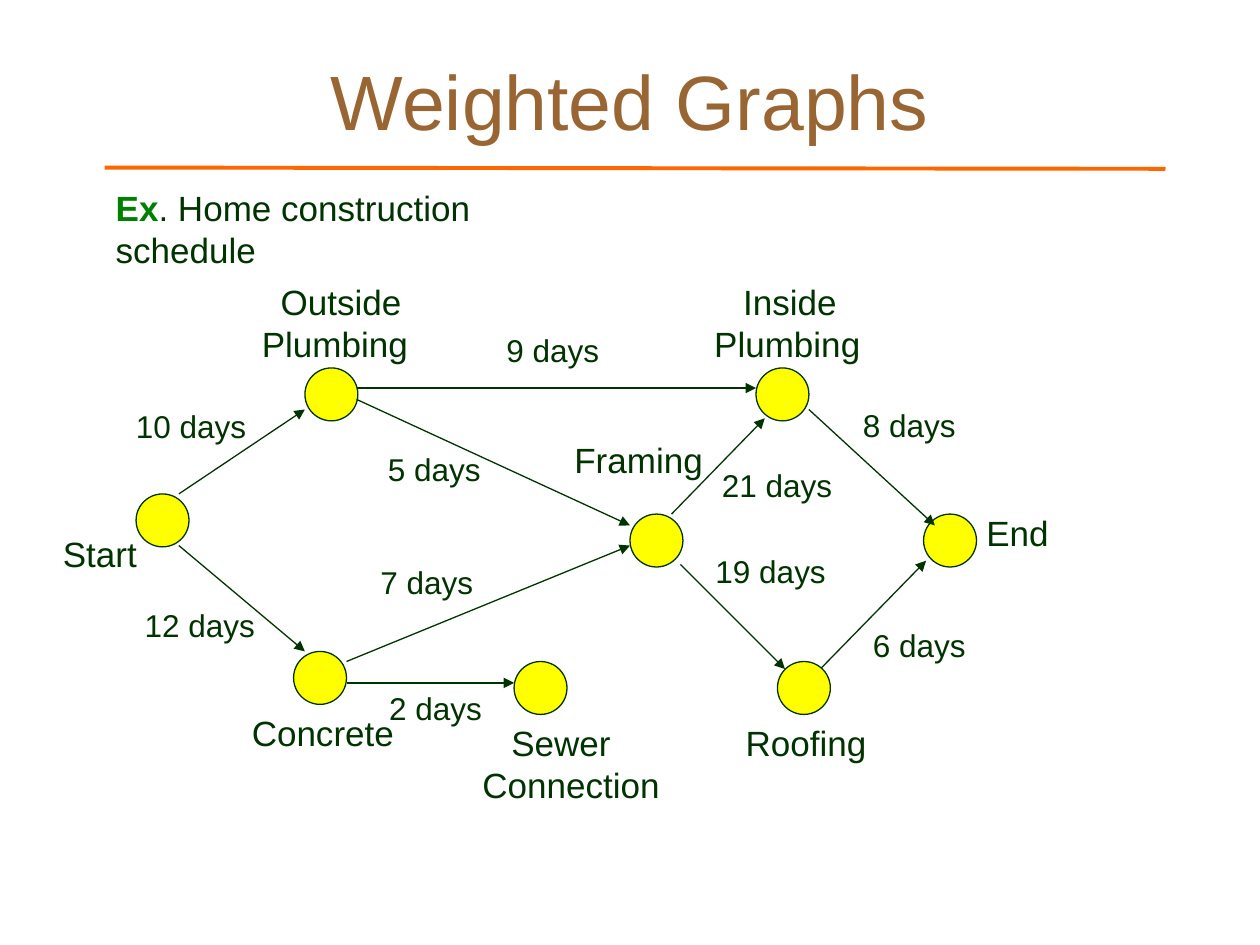
from lxml import etree
from pptx import Presentation
from pptx.dml.color import RGBColor
from pptx.enum.shapes import MSO_CONNECTOR, MSO_SHAPE
from pptx.enum.text import MSO_ANCHOR, PP_ALIGN
from pptx.oxml.ns import qn
from pptx.util import Inches, Pt

STRAIGHT = MSO_CONNECTOR.STRAIGHT
OVAL = MSO_SHAPE.OVAL
MIDDLE = MSO_ANCHOR.MIDDLE
LEFT, CENTER = PP_ALIGN.LEFT, PP_ALIGN.CENTER

COLORS = {"title": "996633", "rule": "FF6600", "ink": "003300",
          "node": "FFFF00", "example": "008000"}
FONT = "Arial"
NODE_SIZE = 0.42
NAME_SIZE, DAYS_SIZE = 20, 18

TITLE = "Weighted Graphs"
EXAMPLE = ("Ex", ". Home construction schedule")

# Left and top of each task's circle
NODES = {
    "Start": (1.08, 3.92),
    "Outside Plumbing": (2.42, 2.92),
    "Roofing": (6.17, 5.25),
    "End": (7.33, 4.08),
    "Inside Plumbing": (6, 2.92),
    "Framing": (5, 4.08),
    "Sewer Connection": (4.08, 5.25),
    "Concrete": (2.33, 5.17),
}

# Lines of the name, left, top, width, indent of the first line
NAMES = [
    (["Start"], 0.4, 4.18, 0.79, 0),
    (["Outside", "Plumbing"], 1.98, 2.18, 1.36, 0.15),
    (["Concrete"], 1.9, 5.6, 1.33, 0),
    (["Sewer", "Connection"], 3.73, 5.68, 1.68, 0.23),
    (["Roofing"], 5.82, 5.68, 1.16, 0),
    (["End"], 7.73, 4.01, 0.7, 0),
    (["Inside", "Plumbing"], 5.57, 2.18, 1.36, 0.23),
    (["Framing"], 4.46, 3.43, 1.22, 0),
]

# Days, arrow start, arrow end, left and top of the label
EDGES = [
    (10, (1.42, 3.92), (2.42, 3.25), (0.98, 3.18)),
    (12, (1.42, 4.33), (2.42, 5.17), (1.05, 4.76)),
    (7, (2.75, 5.25), (5, 4.33), (2.92, 4.42)),
    (5, (2.83, 3.17), (5, 4.17), (2.98, 3.52)),
    (9, (2.83, 3.08), (6, 3.08), (3.92, 2.58)),
    (21, (5.33, 4.08), (6.07, 3.32), (5.63, 3.65)),
    (19, (5.4, 4.48), (6.23, 5.31), (5.58, 4.33)),
    (2, (2.75, 5.42), (4.08, 5.42), (2.99, 5.42)),
    (6, (6.52, 5.3), (7.35, 4.45), (6.83, 4.92)),
    (8, (6.42, 3.25), (7.42, 4.17), (6.75, 3.17)),
]


def color(name):
    return RGBColor.from_string(COLORS[name])


def style(span, size, color_name="ink", bold=False):
    span.font.name = FONT
    span.font.size = Pt(size)
    span.font.bold = bold
    span.font.color.rgb = color(color_name)


def add_line(page, start, end, color_name, width, arrow=False):
    line = page.shapes.add_connector(STRAIGHT, *map(Inches, start + end))
    line.line.color.rgb = color(color_name)
    line.line.width = Pt(width)
    if arrow:
        outline = line.line._get_or_add_ln()
        etree.SubElement(outline, qn("a:tailEnd"), type="triangle")
    etree.SubElement(line._element.spPr, qn("a:effectLst"))


def add_node(page, left, top):
    node = page.shapes.add_shape(OVAL, *map(Inches, (left, top, NODE_SIZE, NODE_SIZE)))
    node.shadow.inherit = False
    node.fill.solid()
    node.fill.fore_color.rgb = color("node")
    node.line.color.rgb = color("ink")
    node.line.width = Pt(0.75)


def add_label(page, lines, left, top, width, size, indent=0):
    height = 0.1 + len(lines) * size / 60
    box = page.shapes.add_textbox(*map(Inches, (left, top, width, height)))
    frame = box.text_frame
    frame.word_wrap = False
    frame.text = "\n".join(lines)
    for para in frame.paragraphs:
        para.alignment = LEFT
        style(para.runs[0], size)
    if indent:
        frame.paragraphs[0]._p.get_or_add_pPr().set("indent", str(Inches(indent)))


def add_title(page):
    title = page.shapes.title
    title.left, title.top, title.width, title.height = map(Inches, (0.75, 0.17, 8.5, 1.25))
    frame = title.text_frame
    frame.text = TITLE
    frame.vertical_anchor = MIDDLE
    frame.paragraphs[0].alignment = CENTER
    style(frame.paragraphs[0].runs[0], 44, "title")


def add_example(page):
    box = page.shapes.add_textbox(*map(Inches, (0.82, 1.43, 4.2, 0.77)))
    frame = box.text_frame
    frame.word_wrap = True
    frame.margin_right = Inches(0.3)
    para = frame.paragraphs[0]
    for text, color_name, bold in zip(EXAMPLE, ("example", "ink"), (True, False)):
        span = para.add_run()
        span.text = text
        style(span, NAME_SIZE, color_name, bold)


def main():
    deck = Presentation()
    deck.slide_width, deck.slide_height = Inches(10), Inches(7.5)
    page = deck.slides.add_slide(deck.slide_layouts[5])

    add_title(page)
    add_line(page, (0.83, 1.33), (9.25, 1.34), "rule", 2.25)
    for left, top in NODES.values():
        add_node(page, left, top)
    for days, start, end, label in EDGES:
        add_line(page, start, end, "ink", 0.75, arrow=True)
    for lines, left, top, width, indent in NAMES:
        add_label(page, lines, left, top, width, NAME_SIZE, indent)
    for days, start, end, (left, top) in EDGES:
        width = 1.08 if days >= 10 else 0.94
        add_label(page, [f"{days} days"], left, top, width, DAYS_SIZE)
    add_example(page)

    deck.save("out.pptx")


if __name__ == "__main__":
    main()
